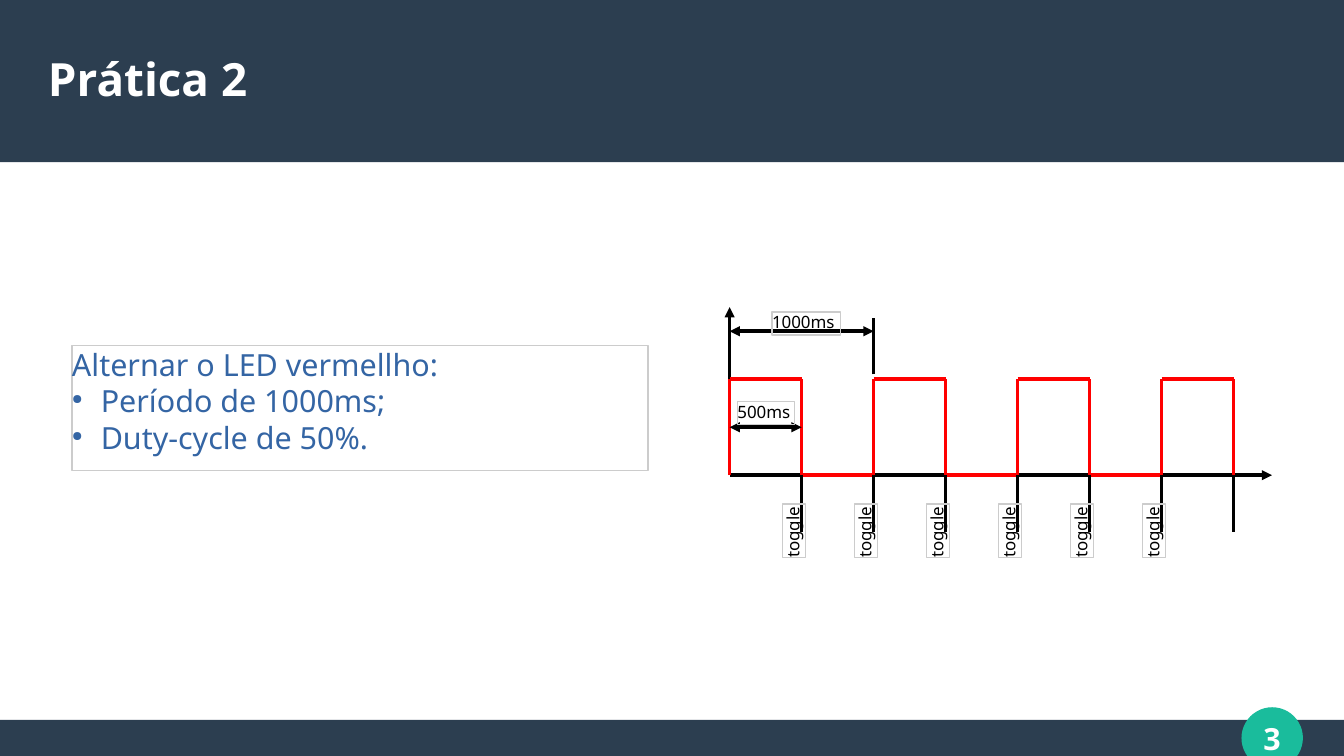
import itertools
import lxml.etree
import pptx
import pptx.dml.color
import pptx.enum.shapes
import pptx.enum.text
import pptx.oxml.ns
import pptx.util

HUES = {"navy": "2C3E50", "green": "1ABC9C", "white": "FFFFFF", "blue": "3465A4",
        "edge": "CCCCCC", "black": "000000", "red": "FF0000"}
FONT = "Noto Sans"
WIDE, HIGH = 28, 15.75
KIND = pptx.enum.shapes.MSO_SHAPE
ALIGN = pptx.enum.text.PP_ALIGN
MID = pptx.enum.text.MSO_ANCHOR.MIDDLE
TOP = pptx.enum.text.MSO_ANCHOR.TOP
FRAME = {"margin_left": 0, "margin_top": 0, "margin_right": 0, "margin_bottom": 0,
         "auto_size": pptx.enum.text.MSO_AUTO_SIZE.NONE}


def tint(name):
    """Return the named colour."""
    return pptx.dml.color.RGBColor.from_string(HUES[name])


def cm(*sizes):
    """Turn centimetres into lengths."""
    return [pptx.util.Cm(size) for size in sizes]


def style(item, **vals):
    """Set each format value on an item."""
    for key, val in vals.items():
        setattr(item, key, val)


def sub(node, tag, **vals):
    """Add a drawing element below a node."""
    return lxml.etree.SubElement(node, pptx.oxml.ns.qn(tag), vals)


def write(frame, lines, size, hue, align=ALIGN.LEFT, anchor=TOP, wrap=True, bold=False):
    """Fill a text frame, with bullets on all lines after the first."""
    style(frame, **FRAME, word_wrap=wrap, vertical_anchor=anchor)
    for num, line in enumerate(lines):
        para = frame.add_paragraph() if num else frame.paragraphs[0]
        if num:
            props = para._p.get_or_add_pPr()
            dent = pptx.util.Cm(0.6)
            props.set("marL", str(dent))
            props.set("indent", str(-dent))
            sub(sub(props, "a:buClr"), "a:srgbClr", val=HUES[hue])
            sub(props, "a:buSzPct", val="45000")
            sub(props, "a:buChar", char="●")
        para.alignment = align
        run = para.add_run()
        run.text = line
        style(run.font, name=FONT, size=pptx.util.Pt(size), bold=bold)
        run.font.color.rgb = tint(hue)


def block(slide, box, fill=None, edge=None, width=0, kind=KIND.RECTANGLE):
    """Draw a plain shape in a box."""
    shape = slide.shapes.add_shape(kind, *cm(*box))
    shape.shadow.inherit = False
    if fill:
        shape.fill.solid()
        shape.fill.fore_color.rgb = tint(fill)
    else:
        shape.fill.background()
    if edge:
        shape.line.color.rgb = tint(edge)
        shape.line.width = pptx.util.Pt(width)
    else:
        shape.line.fill.background()
    return shape


def label(slide, box, text, turn=0):
    """Draw a small framed label."""
    shape = block(slide, box, edge="edge")
    shape.rotation = turn
    write(shape.text_frame, [text], 10, "black", wrap=False)


def stroke(slide, start, end, hue="black", heads=()):
    """Draw a hairline with optional arrowheads."""
    line = slide.shapes.add_connector(
        pptx.enum.shapes.MSO_CONNECTOR.STRAIGHT, *cm(*start, *end))
    line.line.color.rgb = tint(hue)
    line.line.width = 0
    for head in heads:
        sub(line.line._get_or_add_ln(), head, type="triangle")
    sub(line._element.spPr, "a:effectLst")


def header(slide, box, text):
    """Draw the top band and set the title on it."""
    left, top, width, height = box
    band = block(slide, box, "navy")
    title = slide.shapes.title
    band.element.addnext(title.element)
    place = cm(left + 1, top + height * 0.19, width - 2, height * 0.59)
    style(title, **dict(zip(("left", "top", "width", "height"), place)))
    write(title.text_frame, [text], 27, "white", anchor=MID, bold=True)


def footer(slide, box, text):
    """Draw the bottom band and the page badge."""
    left, top, width, height = box
    block(slide, box, "navy")
    size = 1.25
    badge = block(slide, (left + width - 2.12, top + (height - size) / 2, size, size),
                  "green", "green", 0.85, KIND.OVAL)
    write(badge.text_frame, [text], 18, "white", ALIGN.CENTER, MID, False, True)


def task(slide, box, lines):
    """Draw the framed task text."""
    write(block(slide, box, edge="edge").text_frame, lines, 18, "blue")


def wave(slide, box):
    """Draw the timing chart on a grid of half periods and half centimetres."""
    left, top, width, height = box
    col, row, steps = 1.5, 0.5, 7
    high, base = 3, 7
    both = ("a:headEnd", "a:tailEnd")

    def spot(across, down):
        """Find a grid point."""
        return left + across * col, top + down * row

    for end in (spot(0, 0), (left + width, top + base * row)):
        stroke(slide, spot(0, base), end, heads=both[1:])
    spots = [spot(0, base)]
    for step in range(steps):
        level = base if step % 2 else high
        spots += [spot(step, level), spot(step + 1, level)]
    spots.append(spot(steps, base))
    for start, end in itertools.pairwise(spots):
        if start != end:
            stroke(slide, start, end, "red")

    stroke(slide, spot(2, 2.8), spot(2, 0.46))
    spans = (("1000ms", 2, 1, 0.59, 0.2, 1.42), ("500ms", 1, 5, 0.11, 3.92, 1.19))
    for text, span, down, across, rise, size in spans:
        stroke(slide, spot(0, down), spot(span, down), heads=both)
        label(slide, (*spot(across, rise), size, 0.48), text)

    for step in range(1, steps + 1):
        stroke(slide, (spot(step, 0)[0], top + height), spot(step, base))
    for step in range(1, steps):
        label(slide, (*spot(step - 0.48, 8.84), 1.12, 0.48), "toggle", 270)


def main():
    """Build and save the slide."""
    deck = pptx.Presentation()
    deck.slide_width, deck.slide_height = cm(WIDE, HIGH)
    slide = deck.slides.add_slide(deck.slide_layouts[5])
    header(slide, (0, 0, WIDE, 3.38), "Prática 2")
    footer(slide, (0, 15, WIDE, 0.75), "3")
    task(slide, (1.5, 7.2, 12, 2.6),
         ["Alternar o LED vermellho:", "Período de 1000ms;", "Duty-cycle de 50%."])
    wave(slide, (15.2, 6.4, 11.3, 4.68))
    deck.save("out.pptx")


if __name__ == "__main__":
    main()
